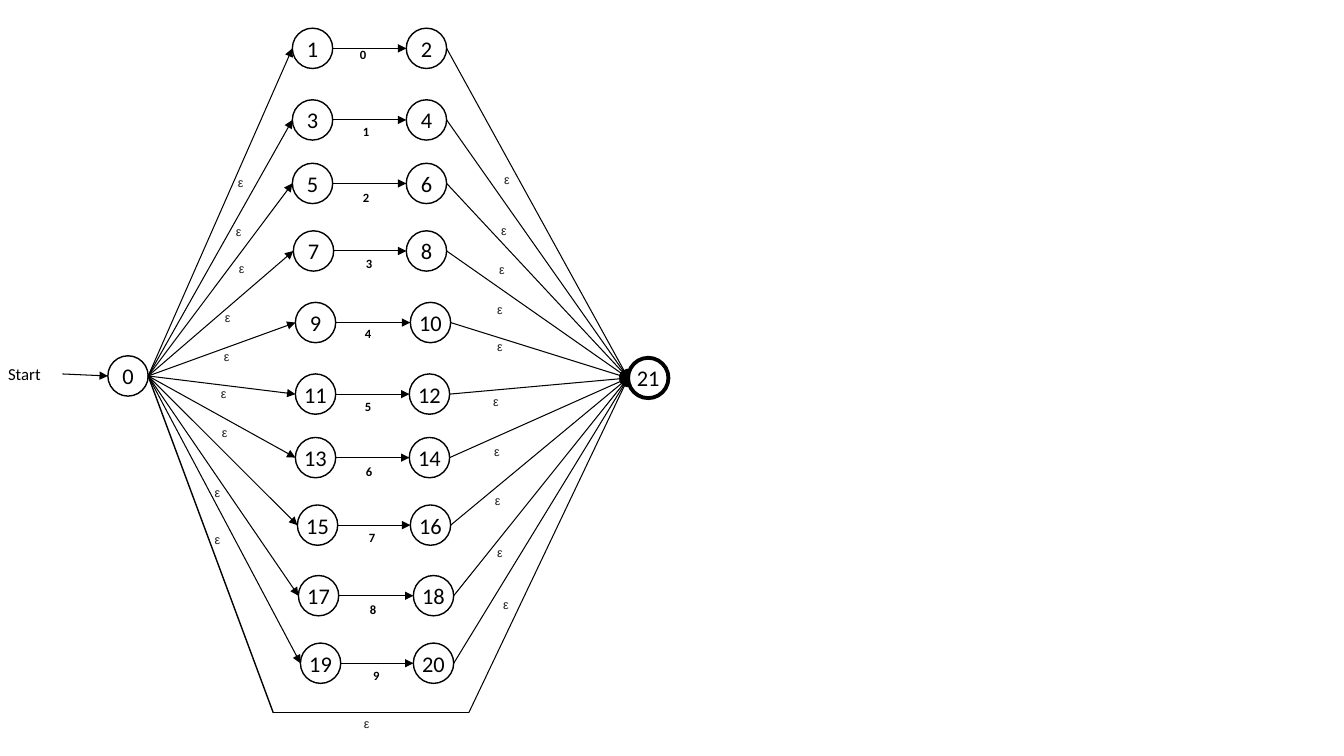
from typing import NamedTuple

from lxml.etree import SubElement
from pptx import Presentation
from pptx.dml.color import RGBColor
from pptx.enum.shapes import MSO_CONNECTOR, MSO_SHAPE
from pptx.enum.text import MSO_ANCHOR, MSO_AUTO_SIZE, PP_ALIGN
from pptx.oxml.ns import qn
from pptx.util import Emu, Inches, Pt

CELL = Inches(0.1)
DIAMETER = 4
RADIUS = DIAMETER / 2
BLACK = "000000"
DARK_GREY = "202124"


class Point(NamedTuple):
    col: float
    row: float


class State(NamedTuple):
    name: str
    left: float
    middle: float
    weight: float = 1

    @property
    def entry(self) -> Point:
        return Point(self.left, self.middle)

    @property
    def exit(self) -> Point:
        return Point(self.left + DIAMETER, self.middle)


class Branch(NamedTuple):
    row: float
    first_col: float
    second_col: float
    digit_at: Point
    epsilons_at: tuple[Point, ...]


def cells(count: float) -> Emu:
    return Emu(round(count * CELL))


def color(value: str) -> RGBColor:
    return RGBColor.from_string(value)


def style_text(p, size: float, font: str, fill: str, bold: bool = False) -> None:
    p.font.size = Pt(size)
    p.font.name = font
    p.font.bold = bold
    p.font.color.rgb = color(fill)


def clear_margins(tf) -> None:
    tf.margin_left = tf.margin_right = tf.margin_top = tf.margin_bottom = 0


def draw_state(s, state: State) -> None:
    sp = s.shapes.add_shape(
        MSO_SHAPE.OVAL, cells(state.left), cells(state.middle - RADIUS),
        cells(DIAMETER), cells(DIAMETER))
    sp.shadow.inherit = False
    sp.fill.background()
    sp.line.color.rgb = color(BLACK)
    sp.line.width = Pt(state.weight)
    tf = sp.text_frame
    clear_margins(tf)
    tf.vertical_anchor = MSO_ANCHOR.MIDDLE
    p = tf.paragraphs[0]
    p.text = state.name
    p.alignment = PP_ALIGN.CENTER
    style_text(p, 16, "Calibri", BLACK)


def draw_line(s, start: Point, end: Point, weight: float = 0.75,
              arrow: bool = True) -> None:
    line = s.shapes.add_connector(
        MSO_CONNECTOR.STRAIGHT, cells(start.col), cells(start.row),
        cells(end.col), cells(end.row))
    line.line.color.rgb = color(BLACK)
    line.line.width = Pt(weight)
    if arrow:
        SubElement(line.line._get_or_add_ln(), qn("a:tailEnd"), type="triangle")
    SubElement(line._element.spPr, qn("a:effectLst"))


def draw_label(s, text: str, at: Point, size: float = 9, font: str = "Calibri",
               fill: str = BLACK, bold: bool = False, width: float = 1.6,
               height: float = 1.5) -> None:
    sp = s.shapes.add_textbox(
        cells(at.col), cells(at.row), cells(width), cells(height))
    tf = sp.text_frame
    clear_margins(tf)
    tf.word_wrap = True
    tf.auto_size = MSO_AUTO_SIZE.SHAPE_TO_FIT_TEXT
    p = tf.paragraphs[0]
    p.text = text
    style_text(p, size, font, fill, bold)


def draw_epsilon(s, at: Point) -> None:
    draw_label(s, "ε", at, font="Arial", fill=DARK_GREY)


def draw_branch(s, digit: int, branch: Branch, start: State, final: State) -> None:
    first = State(str(2 * digit + 1), branch.first_col, branch.row)
    second = State(str(2 * digit + 2), branch.second_col, branch.row)
    draw_state(s, first)
    draw_state(s, second)
    draw_line(s, start.exit, first.entry)
    draw_line(s, first.exit, second.entry)
    draw_line(s, second.exit, final.entry)
    draw_label(s, str(digit), branch.digit_at, bold=True)
    for at in branch.epsilons_at:
        draw_epsilon(s, at)


START = State("0", 10.7, 37.3)
FINAL = State("21", 62.3, 37.5, 2.75)
BRANCHES = [
    Branch(4.8, 29, 40.3, Point(35.7, 4.7), (Point(23.6, 17.4), Point(50, 17.1))),
    Branch(11.9, 29, 40.3, Point(36, 12.3), (Point(23.4, 22.2), Point(49.7, 22.1))),
    Branch(18.2, 29, 40.3, Point(36, 18.8), (Point(23.7, 25.9), Point(49.5, 26))),
    Branch(24.9, 29.1, 40.3, Point(36.3, 25.4), (Point(22.3, 30.7), Point(49.3, 30))),
    Branch(32, 29.3, 40.7, Point(36.2, 32.3), (Point(22.2, 34.6), Point(49.3, 33.6))),
    Branch(39.1, 29.3, 40.6, Point(36.2, 39.6), (Point(21.9, 38.3), Point(48.9, 39.1))),
    Branch(45.4, 29.3, 40.6, Point(36.3, 46), (Point(22, 42.2), Point(49, 44))),
    Branch(52.1, 29.5, 40.7, Point(36.6, 52.6), (Point(21.3, 48.1), Point(49.1, 48.9))),
    Branch(59.1, 29.6, 41, Point(36.7, 59.7), (Point(21.3, 52.8), Point(49.3, 54.1))),
    Branch(65.8, 29.8, 41, Point(37, 66.3), (Point(49.9, 59.2),)),
]
BYPASS_LEFT = Point(27.1, 70.7)
BYPASS_RIGHT = Point(46.5, 70.7)

prs = Presentation()
prs.slide_width = Inches(13.33)
prs.slide_height = Inches(7.5)
s = prs.slides.add_slide(prs.slide_layouts[6])

draw_label(s, "Start", Point(0.8, 36.1), size=12, width=5.3, height=2)
draw_line(s, Point(6.2, 37.1), START.entry)
draw_state(s, START)
draw_state(s, FINAL)

for digit, branch in enumerate(BRANCHES):
    draw_branch(s, digit, branch, START, FINAL)

draw_line(s, START.exit, BYPASS_LEFT, weight=1, arrow=False)
draw_line(s, BYPASS_LEFT, BYPASS_RIGHT, weight=1, arrow=False)
draw_line(s, BYPASS_RIGHT, FINAL.entry)
draw_epsilon(s, Point(36.1, 71))

prs.save("out.pptx")
